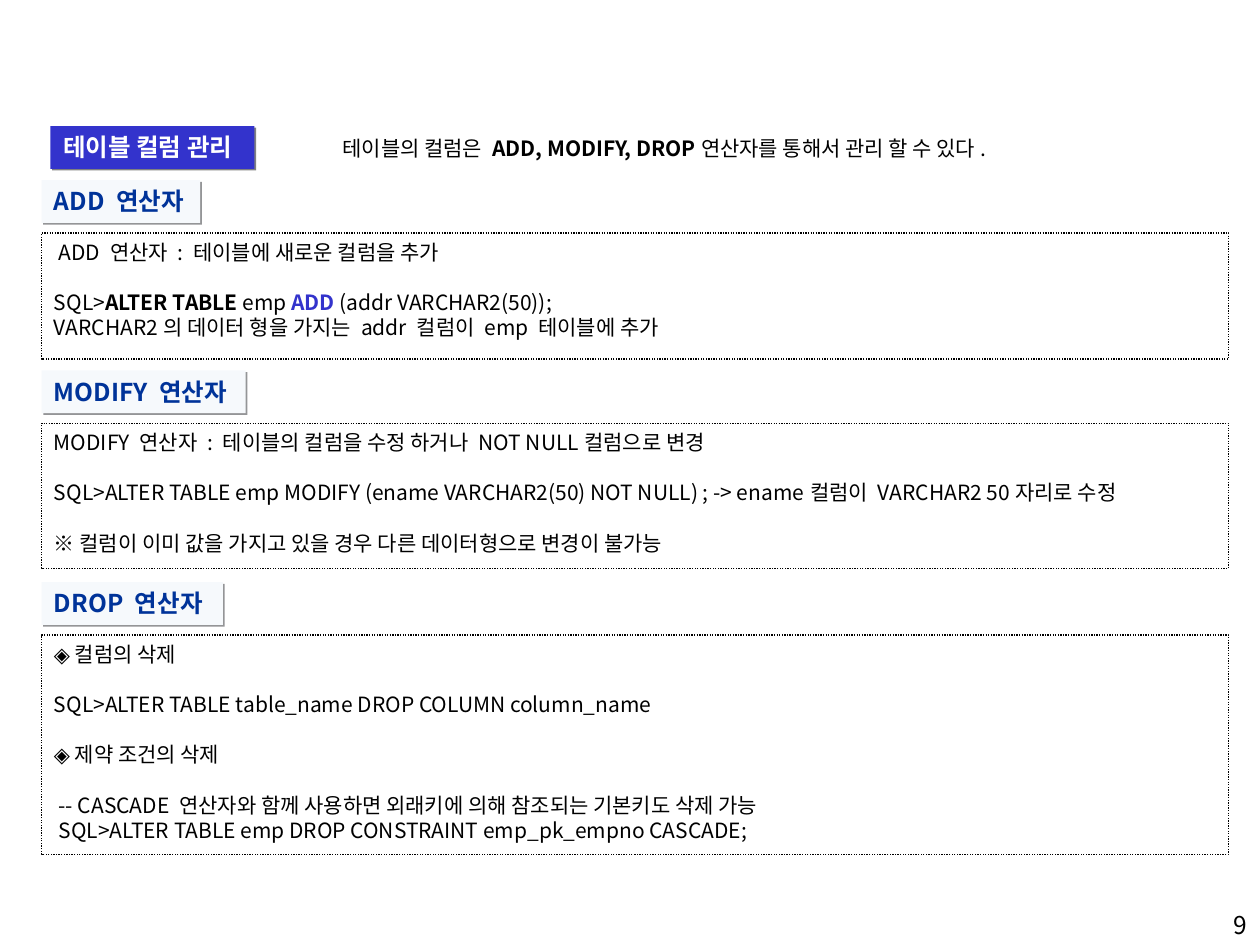
from dataclasses import dataclass

from lxml import etree
from pptx import Presentation
from pptx.dml.color import RGBColor
from pptx.enum.dml import MSO_LINE
from pptx.enum.shapes import MSO_SHAPE
from pptx.enum.text import MSO_ANCHOR, MSO_AUTO_SIZE, PP_ALIGN
from pptx.oxml.ns import qn
from pptx.util import Inches, Pt

RECTANGLE = MSO_SHAPE.RECTANGLE
DOTTED = MSO_LINE.ROUND_DOT
TOP = MSO_ANCHOR.TOP
NO_AUTOFIT = MSO_AUTO_SIZE.NONE
LEFT, RIGHT = PP_ALIGN.LEFT, PP_ALIGN.RIGHT
TITLE_ONLY = 5


@dataclass(frozen=True)
class Theme:
    """Font, type sizes and colours of the slide."""
    font: str = "Noto Sans CJK KR"
    heading: float = 14
    body: float = 12
    leading: float = 1.2
    ink: str = "000000"
    white: str = "FFFFFF"
    accent: str = "3333CC"
    accent_shadow: str = "808080"
    label: str = "003399"
    label_fill: str = "F6F9FC"
    label_shadow: str = "949597"


THEME = Theme()

INTRO = [
    ("테이블의 컬럼은 ",),
    ("ADD, MODIFY, DROP", True),
    ("연산자를 통해서 관리 할 수 있다.",),
]

SECTIONS = [
    ("ADD 연산자", 1.26, 1.85, 1.0, [
        [[(" ADD 연산자 : 테이블에 새로운 컬럼을 추가",)]],
        [[("SQL>",), ("ALTER TABLE", True), (" emp ",),
          ("ADD", True, THEME.accent), (" (addr VARCHAR2(50));",)],
         [("VARCHAR2의 데이터 형을 가지는 addr 컬럼이 emp 테이블에 추가",)]],
    ]),
    ("MODIFY 연산자", 1.62, 3.36, 1.15, [
        [[("MODIFY 연산자 : 테이블의 컬럼을 수정 하거나 NOT NULL컬럼으로 변경",)]],
        [[("SQL>ALTER TABLE emp MODIFY (ename VARCHAR2(50) NOT NULL) ; "
           "-> ename컬럼이 VARCHAR2 50자리로 수정",)]],
        [[("※ 컬럼이 이미 값을 가지고 있을 경우 다른 데이터형으로 변경이 불가능",)]],
    ]),
    ("DROP 연산자", 1.44, 5.04, 1.74, [
        [[("◈ 컬럼의 삭제",)]],
        [[("SQL>ALTER TABLE table_name DROP COLUMN column_name",)]],
        [[("◈ 제약 조건의 삭제",)]],
        [[(" -- CASCADE 연산자와 함께 사용하면 외래키에 의해 참조되는 기본키도 삭제 가능",)],
         [(" SQL>ALTER TABLE emp DROP CONSTRAINT emp_pk_empno CASCADE;",)]],
    ]),
]


def add_run(paragraph, size, text, bold=False, color=THEME.ink):
    """Add one run in the slide's font for Latin and Korean text."""
    run = paragraph.add_run()
    run.text = text
    run.font.name = THEME.font
    run.font.size = Pt(size)
    run.font.bold = bold
    run.font.color.rgb = RGBColor.from_string(color)
    etree.SubElement(run.font._element, qn("a:ea"), typeface=THEME.font)


def write_blocks(frame, blocks, size, align=LEFT, wrap=True):
    """Write blocks of lines, with one line of space between blocks."""
    frame.word_wrap = wrap
    frame.auto_size = NO_AUTOFIT
    frame.vertical_anchor = TOP
    pitch = Pt(size * THEME.leading)
    lines = [(line, block_no > 0 and line_no == 0)
             for block_no, block in enumerate(blocks)
             for line_no, line in enumerate(block)]
    for index, (line, opens_block) in enumerate(lines):
        paragraph = frame.add_paragraph() if index else frame.paragraphs[0]
        paragraph.alignment = align
        paragraph.line_spacing = pitch
        paragraph.space_before = pitch if opens_block else Pt(0)
        for run in line:
            add_run(paragraph, size, *run)


def place(shape, box):
    """Move a shape to a box of left, top, width and height in inches."""
    shape.left, shape.top, shape.width, shape.height = map(Inches, box)


def style_badge(badge, text, fill, color, shadow):
    """Give a heading its fill, hard shadow and bold text."""
    badge.fill.solid()
    badge.fill.fore_color.rgb = RGBColor.from_string(fill)
    badge.line.fill.background()
    badge.shadow.inherit = False
    effects = badge._element.spPr.find(qn("a:effectLst"))
    cast = etree.SubElement(effects, qn("a:outerShdw"), blurRad="0",
                            dist=str(Pt(1.4)), dir="2700000", algn="ctr",
                            rotWithShape="0")
    etree.SubElement(cast, qn("a:srgbClr"), val=shadow)
    write_blocks(badge.text_frame, [[[(text, True, color)]]],
                 THEME.heading, wrap=False)


def add_title(slide, box):
    """Turn the title placeholder into the blue slide heading."""
    title = slide.shapes.title
    place(title, box)
    style_badge(title, "테이블 컬럼 관리", THEME.accent, THEME.white,
                THEME.accent_shadow)


def add_text(slide, box, line, size, align=LEFT):
    """Add a single line of text without an outline."""
    text_box = slide.shapes.add_textbox(*map(Inches, box))
    write_blocks(text_box.text_frame, [[line]], size, align)


def add_section(slide, box, heading, heading_width, blocks):
    """Add a dotted box of explanation with its heading above it."""
    left, top, _, _ = box
    panel = slide.shapes.add_shape(RECTANGLE, *map(Inches, box))
    panel.shadow.inherit = False
    panel.fill.background()
    panel.line.color.rgb = RGBColor.from_string(THEME.ink)
    panel.line.width = Pt(0.75)
    panel.line.dash_style = DOTTED
    write_blocks(panel.text_frame, blocks, THEME.body)

    heading_box = (left, top - 0.42, heading_width, 0.34)
    badge = slide.shapes.add_shape(RECTANGLE, *map(Inches, heading_box))
    style_badge(badge, heading, THEME.label_fill, THEME.label,
                THEME.label_shadow)


def main():
    """Build the slide on managing table columns."""
    deck = Presentation()
    deck.slide_width, deck.slide_height = Inches(10), Inches(7.5)
    slide = deck.slides.add_slide(deck.slide_layouts[TITLE_ONLY])
    add_title(slide, (0.4, 1, 1.62, 0.34))
    add_text(slide, (2.62, 1.03, 5.49, 0.3), INTRO, THEME.body)
    for heading, heading_width, top, height, blocks in SECTIONS:
        add_section(slide, (0.33, top, 9.42, height), heading,
                    heading_width, blocks)
    add_text(slide, (7.92, 7.17, 2.08, 0.5), [("9",)], THEME.heading, RIGHT)
    deck.save("out.pptx")


if __name__ == "__main__":
    main()
